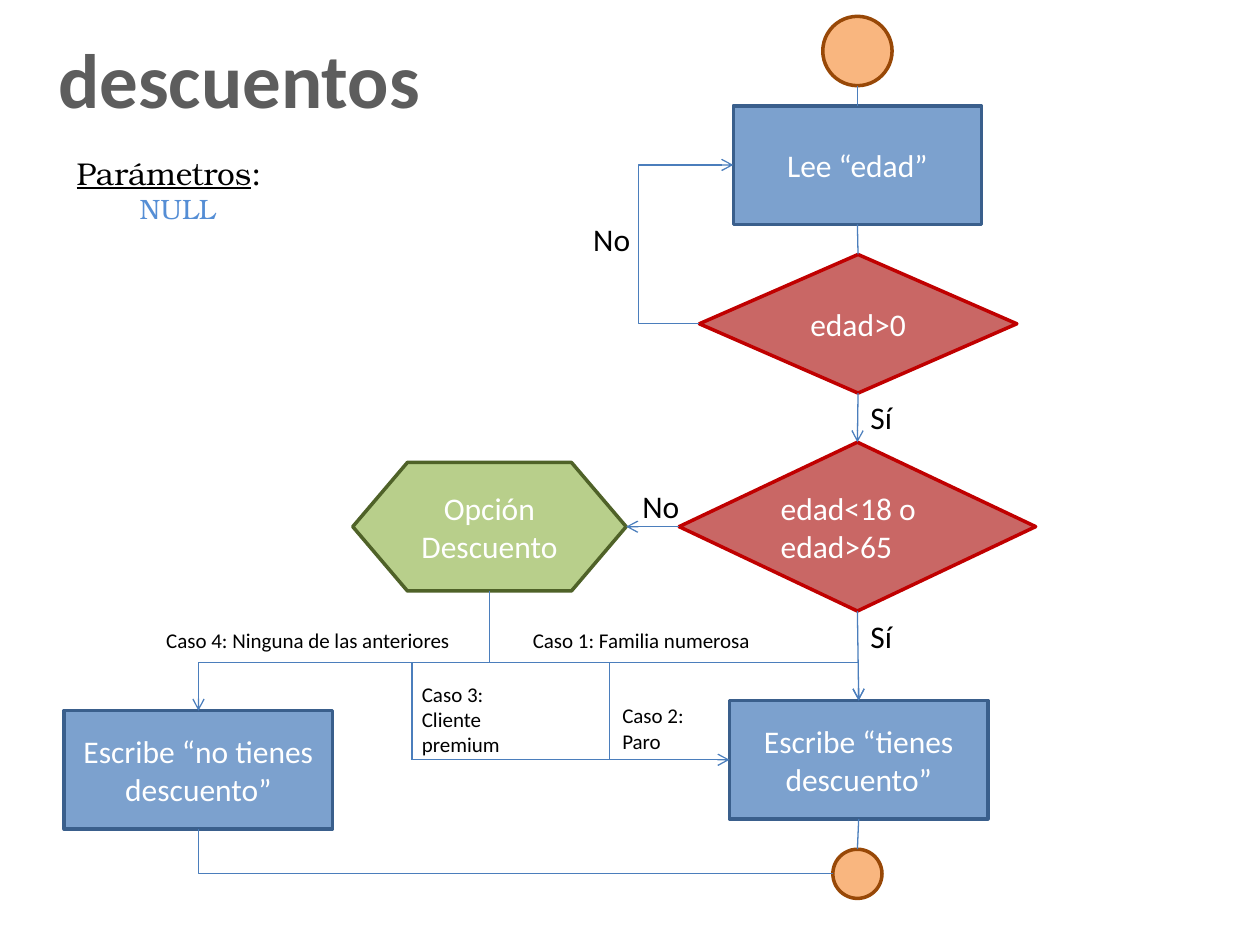
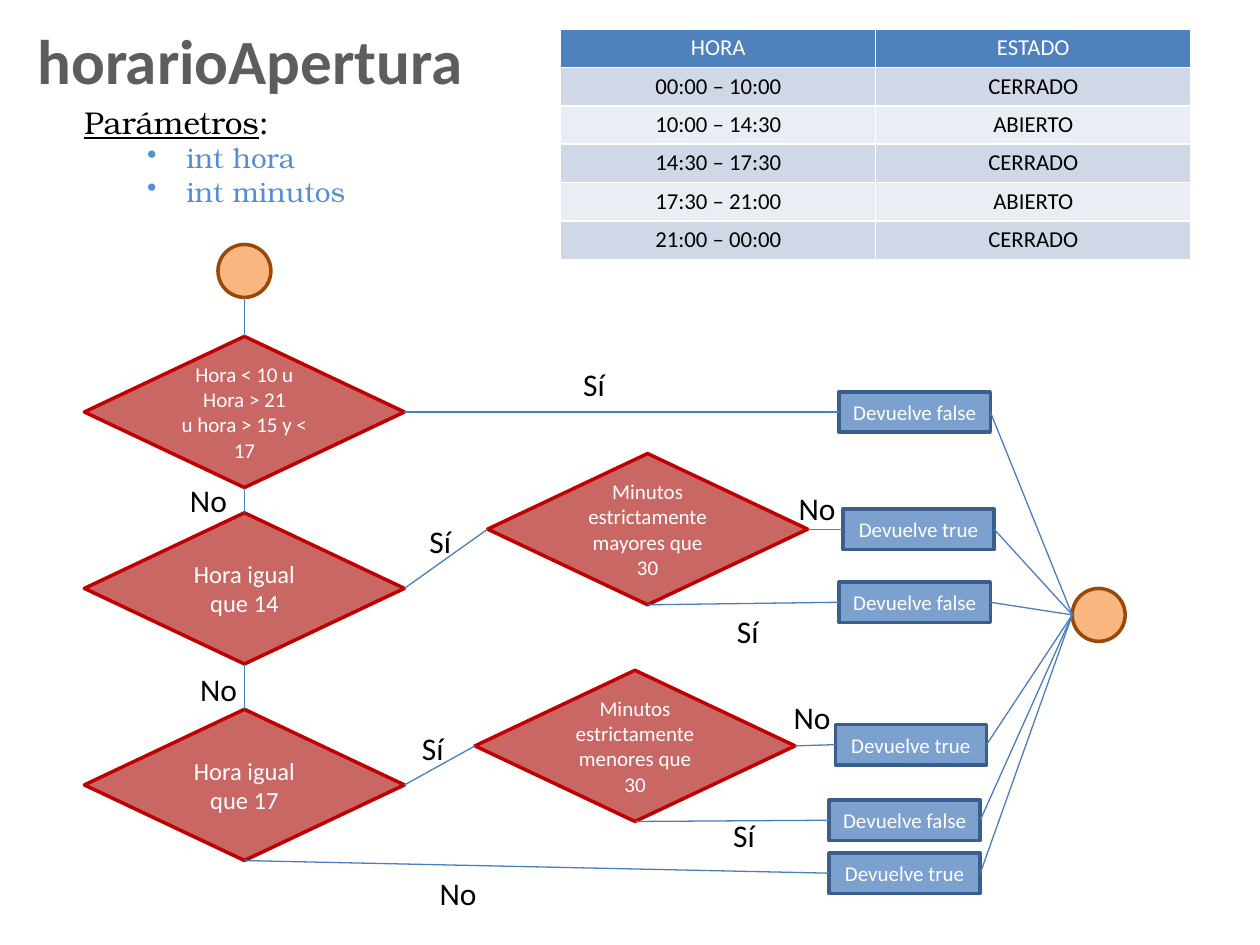
from lxml.etree import SubElement
from pptx import Presentation
from pptx.dml.color import RGBColor
from pptx.enum.shapes import MSO_CONNECTOR, MSO_SHAPE
from pptx.enum.text import MSO_ANCHOR, PP_ALIGN
from pptx.oxml.ns import qn
from pptx.util import Inches, Pt

COLORS = {
    "text": "000000", "white": "FFFFFF", "title": "5D5D5D", "parameter": "558ED5",
    "link": "4B7EBC", "header": "4F81BD", "odd_row": "D0D8E8", "even_row": "E9EDF4",
}
BODY_FONT, PARAMETER_FONT = "Calibri", "TeX Gyre Bonum"

# kind: preset, fill, line
KINDS = {
    "terminal": (MSO_SHAPE.FLOWCHART_CONNECTOR, "F9B67F", "984807"),
    "process": (MSO_SHAPE.FLOWCHART_PROCESS, "7CA1CE", "3A5F8C"),
    "decision": (MSO_SHAPE.FLOWCHART_DECISION, "C96765", "C00000"),
    "options": (MSO_SHAPE.FLOWCHART_PREPARATION, "B8CF8B", "4F6228"),
}
SIDES = ["top", "left", "bottom", "right"]  # order of the connection sites
LEFT, CENTER = PP_ALIGN.LEFT, PP_ALIGN.CENTER

# node: kind, box, lines, text format
DISCOUNT_NODES = {
    "start": ("terminal", (6.53, 0.13, 0.55, 0.55), [], {}),
    "read": ("process", (5.82, 0.84, 1.97, 0.94), ["Lee “edad”"], {}),
    "valid": ("decision", (5.55, 2.02, 2.52, 1.1), ["edad>0"], {}),
    "age": ("decision", (5.39, 3.51, 2.83, 1.34), ["edad<18 o edad>65"], {"align": LEFT}),
    "option": ("options", (2.8, 3.67, 2.17, 1.02), ["Opción", "Descuento"], {}),
    "discount": ("process", (5.79, 5.56, 2.05, 0.94), ["Escribe “tienes descuento”"], {}),
    "no_discount": ("process", (0.51, 5.64, 2.13, 0.94), ["Escribe “no tienes descuento”"], {}),
    "end": ("terminal", (6.61, 6.74, 0.39, 0.39), [], {}),
}
# from node, side, to node, side, arrow
DISCOUNT_LINKS = [
    ("start", "bottom", "read", "top", False),
    ("read", "bottom", "valid", "top", False),
    ("valid", "bottom", "age", "top", True),
    ("age", "bottom", "discount", "top", True),
    ("age", "left", "option", "right", True),
    ("discount", "bottom", "end", "top", False),
]
CASE_2_X, CASE_3_X, CASES_Y, CASES_END_Y = 4.84, 3.27, 5.26, 6.03
RETRY_X = 5.07
# text, box, size
DISCOUNT_LABELS = [
    ("No", (4.61, 1.7, 0.55, 0.4), 18),
    ("No", (5, 3.82, 0.55, 0.4), 18),
    ("Sí", (6.81, 3.11, 0.39, 0.4), 18),
    ("Sí", (6.81, 4.85, 0.39, 0.4), 18),
    ("Caso 1: Familia numerosa", (4.13, 4.93, 2.28, 0.3), 12),
    ("Caso 2:\nParo", (4.84, 5.53, 0.71, 0.5), 12),
    ("Caso 3: Cliente premium", (3.25, 5.36, 1.1, 0.71), 12),
    ("Caso 4: Ninguna de las anteriores", (1.22, 4.93, 2.68, 0.3), 12),
]

DECISION_SIZE, RESULT_SIZE, DOT_SIZE = (2.54, 1.2), (1.2, 0.32), (0.42, 0.42)
SMALL, MEDIUM = {"size": 12}, {"size": 14}
SCHEDULE_NODES = {
    "start": ("terminal", (1.73, 1.94, *DOT_SIZE), [], {}),
    "end": ("terminal", (8.51, 4.67, *DOT_SIZE), [], {}),
    "closed": ("decision", (0.67, 2.67, *DECISION_SIZE),
               ["Hora < 10 u", "Hora > 21", "u hora > 15 y < 17"], SMALL),
    "at_14": ("decision", (0.67, 4.07, *DECISION_SIZE), ["Hora igual que 14"], MEDIUM),
    "at_17": ("decision", (0.67, 5.63, *DECISION_SIZE), ["Hora igual que 17"], MEDIUM),
    "after_30": ("decision", (3.87, 3.6, *DECISION_SIZE),
                 ["Minutos estrictamente mayores que 30"], SMALL),
    "before_30": ("decision", (3.77, 5.32, *DECISION_SIZE),
                  ["Minutos estrictamente menores que 30"], SMALL),
}
# result: left, top, value, decision it follows, side of that decision
RESULTS = {
    "closed_yes": (6.66, 3.11, "false", "closed", "right"),
    "after_no": (6.69, 4.04, "true", "after_30", "right"),
    "after_yes": (6.66, 4.62, "false", "after_30", "bottom"),
    "before_no": (6.63, 5.75, "true", "before_30", "right"),
    "before_yes": (6.58, 6.35, "false", "before_30", "bottom"),
    "otherwise": (6.58, 6.77, "true", "at_17", "bottom"),
}
SCHEDULE_LINKS = [
    ("start", "bottom", "closed", "top", False),
    ("closed", "bottom", "at_14", "top", False),
    ("at_14", "bottom", "at_17", "top", False),
    ("at_14", "right", "after_30", "left", False),
    ("at_17", "right", "before_30", "left", False),
]
for result, (left, top, value, decision, side) in RESULTS.items():
    SCHEDULE_NODES[result] = ("process", (left, top, *RESULT_SIZE), [f"Devuelve {value}"], SMALL)
    SCHEDULE_LINKS += [(decision, side, result, "left", False),
                       (result, "right", "end", "left", False)]
SCHEDULE_LABELS = [
    (text, (left, top, 0.6, 0.4), 18) for text, left, top in [
        ("No", 1.41, 3.77), ("No", 1.49, 5.27), ("No", 3.39, 6.89),
        ("No", 6.24, 3.83), ("No", 6.2, 5.49), ("Sí", 4.53, 2.85),
        ("Sí", 3.31, 4.09), ("Sí", 3.25, 5.74), ("Sí", 5.75, 4.81), ("Sí", 5.72, 6.43),
    ]
]
SCHEDULE = [
    ("HORA", "ESTADO"),
    ("00:00 – 10:00", "CERRADO"),
    ("10:00 – 14:30", "ABIERTO"),
    ("14:30 – 17:30", "CERRADO"),
    ("17:30 – 21:00", "ABIERTO"),
    ("21:00 – 00:00", "CERRADO"),
]


def rgb(value):
    return RGBColor.from_string(COLORS.get(value, value))


def inches(values):
    return [Inches(value) for value in values]


def write(frame, lines, size=18, color="text", font=BODY_FONT, bold=False,
          underline=False, align=LEFT, indent=0, hanging=0, bullet=None):
    """Append the lines as paragraphs and return the last one."""
    for line in lines:
        last = frame.paragraphs[-1]
        paragraph = frame.add_paragraph() if last.runs else last
        properties = paragraph._p.get_or_add_pPr()
        if indent:
            properties.set("marL", str(Inches(indent)))
            properties.set("indent", str(Inches(-hanging)))
        if bullet:
            SubElement(properties, qn("a:buChar")).set("char", bullet)
        paragraph.alignment = align
        run = paragraph.add_run()
        run.text = line
        run.font.size, run.font.name = Pt(size), font
        run.font.bold, run.font.underline = bold, underline
        run.font.color.rgb = rgb(color)
    return paragraph


def add_box(slide, box, wrap=True):
    frame = slide.shapes.add_textbox(*inches(box)).text_frame
    frame.word_wrap = wrap
    return frame


def add_heading(slide, title, title_box, title_size, parameters_box, parameters, **layout):
    write(add_box(slide, title_box), [title], size=title_size, color="title",
          bold=True, align=CENTER)
    frame = add_box(slide, parameters_box, wrap=False)
    label = write(frame, ["Parámetros"], font=PARAMETER_FONT, underline=True)
    colon = label.add_run()
    colon.text = ":"
    colon.font.size, colon.font.name = Pt(18), PARAMETER_FONT
    colon.font.color.rgb = rgb("text")
    write(frame, parameters, size=16, color="parameter", font=PARAMETER_FONT, **layout)


def add_node(slide, kind, box, lines, text_format):
    preset, fill, line = KINDS[kind]
    node = slide.shapes.add_shape(preset, *inches(box))
    node.shadow.inherit = False
    node.fill.solid()
    node.fill.fore_color.rgb = rgb(fill)
    node.line.color.rgb = rgb(line)
    node.line.width = Pt(2)
    node.text_frame.word_wrap = True
    node.text_frame.vertical_anchor = MSO_ANCHOR.MIDDLE
    if lines:
        write(node.text_frame, lines, **{"color": "white", "align": CENTER, **text_format})
    return node


def side_point(nodes, name, side):
    left, top, width, height = nodes[name][1]
    across, down = {"top": (0.5, 0), "left": (0, 0.5),
                    "bottom": (0.5, 1), "right": (1, 0.5)}[side]
    return left + width * across, top + height * down


def add_line(slide, start, end, arrow=False, kind=MSO_CONNECTOR.STRAIGHT):
    line = slide.shapes.add_connector(kind, *inches((*start, *end)))
    line.line.color.rgb = rgb("link")
    line.line.width = Pt(0.75)
    if arrow:
        SubElement(line.line._get_or_add_ln(), qn("a:tailEnd")).set("type", "arrow")
    SubElement(line._element.spPr, qn("a:effectLst"))
    return line


def add_elbow(slide, start, end, via=None, arrow=False, vertical=True):
    """Bend at the coordinate via on the first axis, or only once without it."""
    (x1, y1), (x2, y2) = start, end
    axis = 1 if vertical else 0
    if vertical:
        # The box is laid out unturned, then rotated a quarter about its centre.
        middle_x, middle_y = (x1 + x2) / 2, (y1 + y2) / 2
        half_w, half_h = (y2 - y1) / 2, (x2 - x1) / 2
        corners = ((middle_x - half_w, middle_y + half_h),
                   (middle_x + half_w, middle_y - half_h))
    else:
        corners = (start, end)
    elbow = add_line(slide, *corners, arrow, MSO_CONNECTOR.ELBOW)
    elbow.rotation = 90 if vertical else 0
    geometry = elbow._element.spPr.find(qn("a:prstGeom"))
    if via is None:
        geometry.set("prst", "bentConnector2")
        return
    share = (via - start[axis]) / (end[axis] - start[axis])
    guides = geometry.find(qn("a:avLst"))
    if guides is None:
        guides = SubElement(geometry, qn("a:avLst"))
    guide = SubElement(guides, qn("a:gd"))
    guide.set("name", "adj1")
    guide.set("fmla", f"val {round(share * 100000)}")


def add_flow(slide, nodes, links, labels):
    shapes = {name: add_node(slide, *node) for name, node in nodes.items()}
    for source, source_side, target, target_side, arrow in links:
        line = add_line(slide, side_point(nodes, source, source_side),
                        side_point(nodes, target, target_side), arrow)
        if nodes[source][0] != "terminal":
            line.begin_connect(shapes[source], SIDES.index(source_side))
        if nodes[target][0] != "terminal":
            line.end_connect(shapes[target], SIDES.index(target_side))
    for text, box, size in labels:
        write(add_box(slide, box), text.split("\n"), size=size)


def add_cases(slide):
    def point(name, side):
        return side_point(DISCOUNT_NODES, name, side)

    option = point("option", "bottom")
    for end, arrow in [(point("discount", "top"), True),
                       (point("no_discount", "top"), True),
                       ((CASE_2_X, CASES_END_Y), False),
                       ((CASE_3_X, CASES_END_Y), False)]:
        add_elbow(slide, option, end, CASES_Y, arrow)
    add_line(slide, (CASE_3_X, CASES_END_Y), point("discount", "left"), True)
    add_elbow(slide, point("no_discount", "bottom"), point("end", "left"))
    add_elbow(slide, point("valid", "left"), point("read", "left"), RETRY_X, True, vertical=False)


def add_schedule(slide):
    table = slide.shapes.add_table(len(SCHEDULE), 2, *inches((4.45, 0.23, 5, 1.83))).table
    for r, row in enumerate(SCHEDULE):
        fill = "header" if r == 0 else "odd_row" if r % 2 else "even_row"
        for c, text in enumerate(row):
            cell = table.cell(r, c)
            cell.fill.solid()
            cell.fill.fore_color.rgb = rgb(fill)
            cell.margin_left = cell.margin_right = Inches(0.08)
            cell.margin_top = cell.margin_bottom = Inches(0.04)
            write(cell.text_frame, [text], size=13, align=CENTER,
                  color="text" if r else "white")


def main():
    deck = Presentation()
    deck.slide_width, deck.slide_height = Inches(10), Inches(7.5)
    blank = deck.slide_layouts[6]

    discounts = deck.slides.add_slide(blank)
    add_flow(discounts, DISCOUNT_NODES, DISCOUNT_LINKS, DISCOUNT_LABELS)
    add_cases(discounts)
    add_heading(discounts, "descuentos", (0.35, 0.2, 3.1, 0.84), 44,
                (0.51, 1.17, 1.69, 0.67), ["NULL"], indent=0.5)

    opening = deck.slides.add_slide(blank)
    add_flow(opening, SCHEDULE_NODES, SCHEDULE_LINKS, SCHEDULE_LABELS)
    add_schedule(opening)
    add_heading(opening, "horarioApertura", (0.1, 0.12, 3.77, 0.71), 36,
                (0.57, 0.77, 2.31, 0.94), ["int hora", "int minutos"],
                indent=0.81, hanging=0.31, bullet="•")

    deck.save("out.pptx")


if __name__ == "__main__":
    main()
